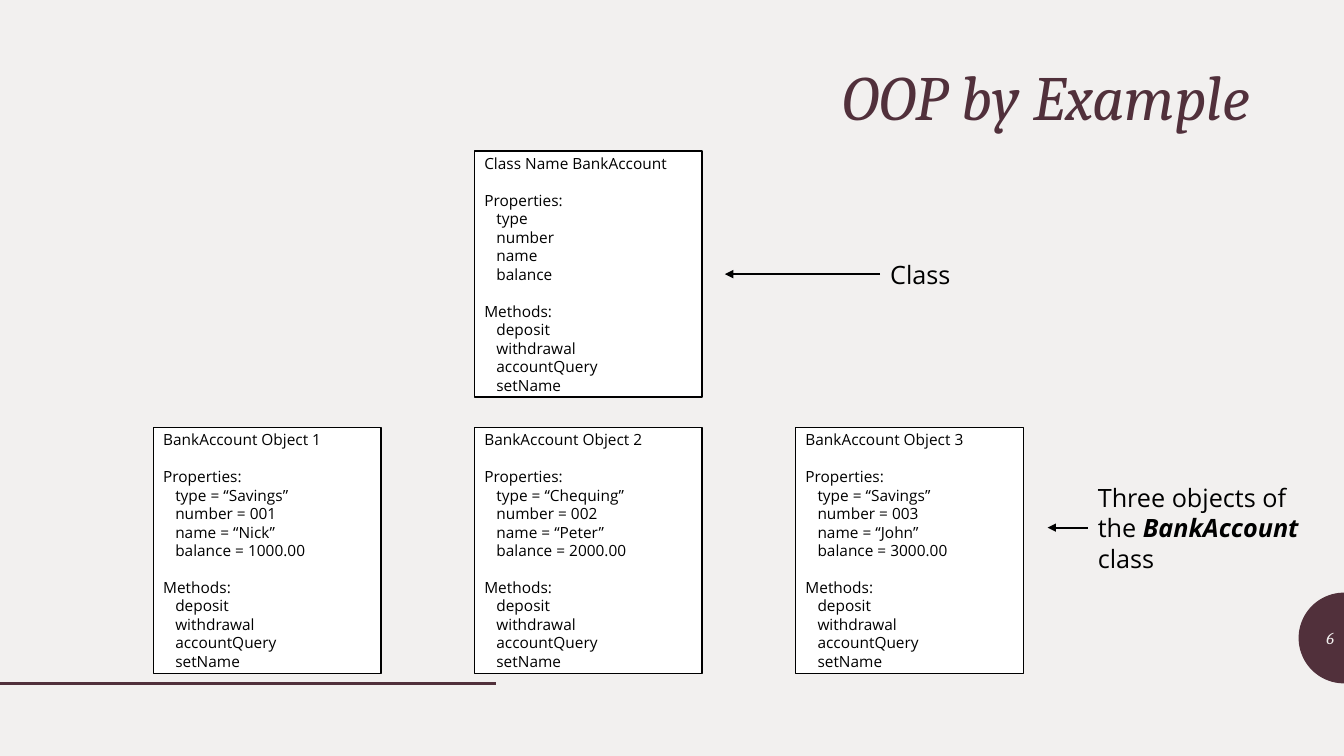
from math import cos, pi, sin

from lxml.etree import SubElement
from pptx import Presentation
from pptx.dml.color import RGBColor
from pptx.enum.shapes import MSO_CONNECTOR, MSO_SHAPE
from pptx.enum.text import MSO_ANCHOR, PP_ALIGN
from pptx.oxml.ns import qn
from pptx.util import Inches, Pt

COLORS = {"back": "F2F0EF", "plum": "51303B", "ink": "000000", "white": "FFFFFF"}
HEAD, BODY = "Cambria", "Open Sans"
METHODS = ["deposit", "withdrawal", "accountQuery", "setName"]
FIELDS = ["type", "number", "name", "balance"]
OBJECTS = [
    ["“Savings”", "001", "“Nick”", "1000.00"],
    ["“Chequing”", "002", "“Peter”", "2000.00"],
    ["“Savings”", "003", "“John”", "3000.00"],
]
CARD_W, CARD_H = 2.26, 2.44


def color(name):
    return RGBColor.from_string(COLORS[name])


def style(para, size, face=BODY, ink="ink", slant=None):
    for run in para.runs:
        font = run.font
        font.size, font.name, font.italic = Pt(size), face, slant
        font.color.rgb = color(ink)


def add_text(slide, box, lines, wrap=True):
    shape = slide.shapes.add_textbox(*map(Inches, box))
    frame = shape.text_frame
    frame.text = "\n".join(lines)
    frame.word_wrap = wrap
    frame.vertical_anchor = MSO_ANCHOR.MIDDLE
    return shape


def add_line(slide, start, end, ink, width):
    line = slide.shapes.add_connector(
        MSO_CONNECTOR.STRAIGHT, *map(Inches, (*start, *end)))
    line.line.color.rgb = color(ink)
    line.line.width = Pt(width)
    SubElement(line._element.spPr, qn("a:effectLst"))
    return line


def add_decor(slide, left, mid, radius):
    # Half disc at the right edge
    steps = 48
    turns = [pi / 2 + pi * i / steps for i in range(steps + 1)]
    points = [(Inches(left + radius + radius * cos(t)),
               Inches(mid + radius * sin(t))) for t in turns]
    pen = slide.shapes.build_freeform(*points[0])
    pen.add_line_segments(points[1:], close=True)
    disc = pen.convert_to_shape()
    disc.shadow.inherit = False
    disc.fill.solid()
    disc.fill.fore_color.rgb = color("plum")
    disc.line.fill.background()
    # Footer rule level with the foot of the disc
    foot = mid + radius
    add_line(slide, (0, foot), (4.92, foot), "plum", 2)
    # Slide number
    page = add_text(slide, (left, mid - 0.2, radius, 0.4), ["6"])
    para = page.text_frame.paragraphs[0]
    para.alignment = PP_ALIGN.RIGHT
    style(para, 12, HEAD, "back", True)


def add_title(slide, box):
    title = add_text(slide, box, ["OOP by Example"])
    para = title.text_frame.paragraphs[0]
    para.alignment = PP_ALIGN.RIGHT
    para.line_spacing = 0.9
    style(para, 45, HEAD, "plum", True)


def add_card(slide, left, top, name, fields):
    card = slide.shapes.add_shape(
        MSO_SHAPE.RECTANGLE, *map(Inches, (left, top, CARD_W, CARD_H)))
    card.shadow.inherit = False
    card.fill.solid()
    card.fill.fore_color.rgb = color("white")
    card.line.color.rgb = color("ink")
    card.line.width = Pt(1)
    frame = card.text_frame
    frame.word_wrap = True
    frame.vertical_anchor = MSO_ANCHOR.MIDDLE
    frame.text = "\n".join([name, "Properties:", *fields, "Methods:", *METHODS])
    for para in frame.paragraphs:
        para.alignment = PP_ALIGN.LEFT
        if para.text in ("Properties:", "Methods:"):
            para.space_before = Pt(13.2)
        elif para.text != name:
            para._p.get_or_add_pPr().set("marL", str(Inches(0.12)))
        style(para, 11)


def add_label(slide, box, lines, tip, wrap=True):
    label = add_text(slide, box, lines, wrap)
    for para in label.text_frame.paragraphs:
        style(para, 18)
    # Arrow from the label to its cards
    left, top, _, height = box
    mid = top + height / 2
    arrow = add_line(slide, (left, mid), (tip, mid), "ink", 1.5)
    arrow.begin_connect(label, 1)
    SubElement(arrow.line._get_or_add_ln(), qn("a:tailEnd"), type="triangle")
    return label


def add_diagram(slide, left, top):
    step, drop = 3.185, 2.74
    # Class card above the middle object
    add_card(slide, left + step, top, "Class Name BankAccount", FIELDS)
    add_label(slide, (left + 7.21, top + 1.02, 0.81, 0.4), ["Class"],
              left + 5.67, False)
    # Row of objects
    for i, values in enumerate(OBJECTS):
        fields = [f"{key} = {val}" for key, val in zip(FIELDS, values)]
        add_card(slide, left + i * step, top + drop,
                 f"BankAccount Object {i + 1}", fields)
    note = add_label(slide, (left + 9.27, top + 3.23, 2.24, 1.01),
                     ["Three objects of the ", "class"], left + 8.87)
    para = note.text_frame.paragraphs[0]
    para.add_run().text = "BankAccount"
    style(para, 18)
    strong = para.runs[-1].font
    strong.bold = strong.italic = True


def main():
    deck = Presentation()
    deck.slide_width, deck.slide_height = Inches(13.33), Inches(7.5)
    slide = deck.slides.add_slide(deck.slide_layouts[6])
    slide.background.fill.solid()
    slide.background.fill.fore_color.rgb = color("back")
    add_decor(slide, 12.88, 6.33, 0.45)
    add_title(slide, (0.83, 0.61, 11.67, 0.76))
    add_diagram(slide, 1.52, 1.5)
    deck.save("out.pptx")


if __name__ == "__main__":
    main()
